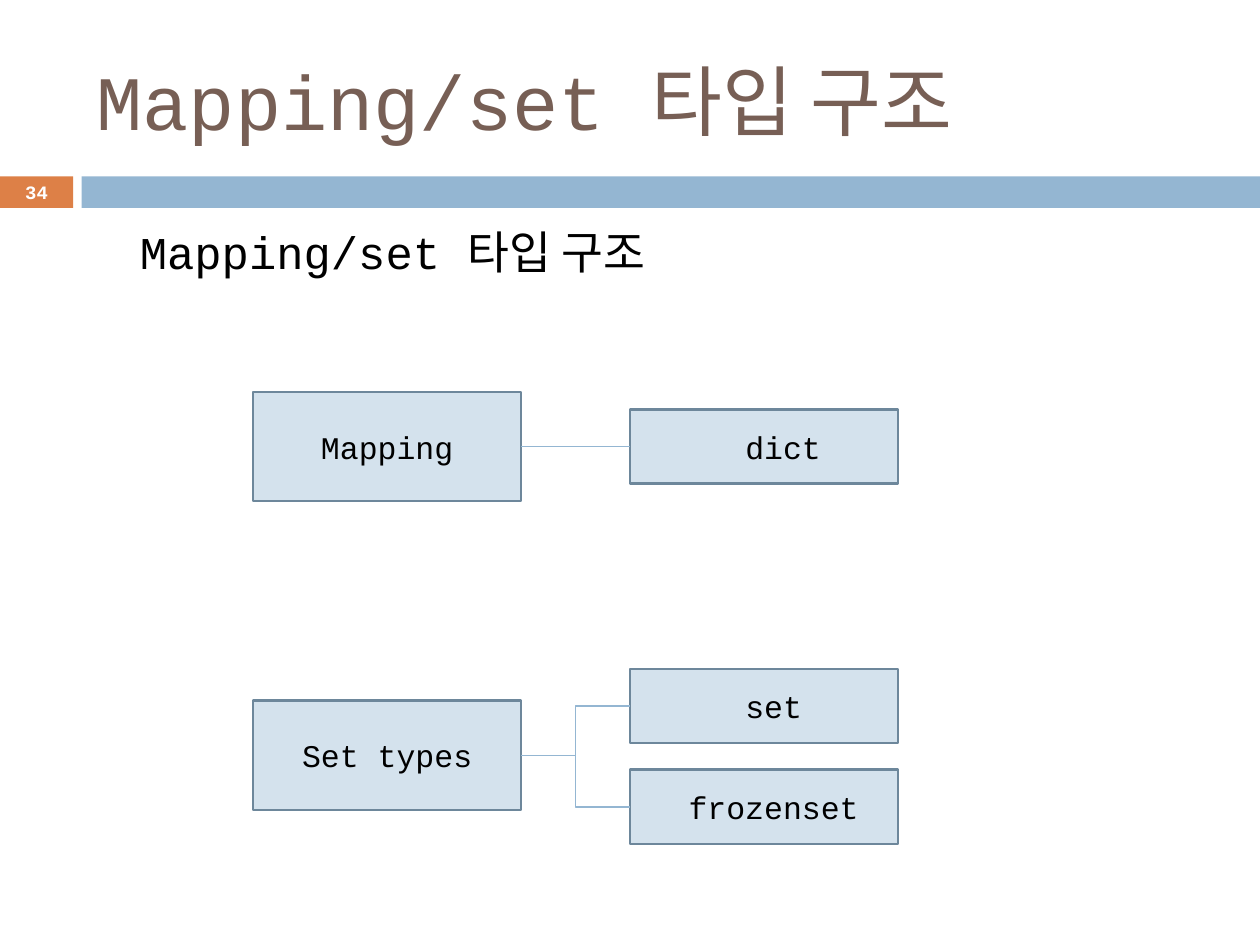
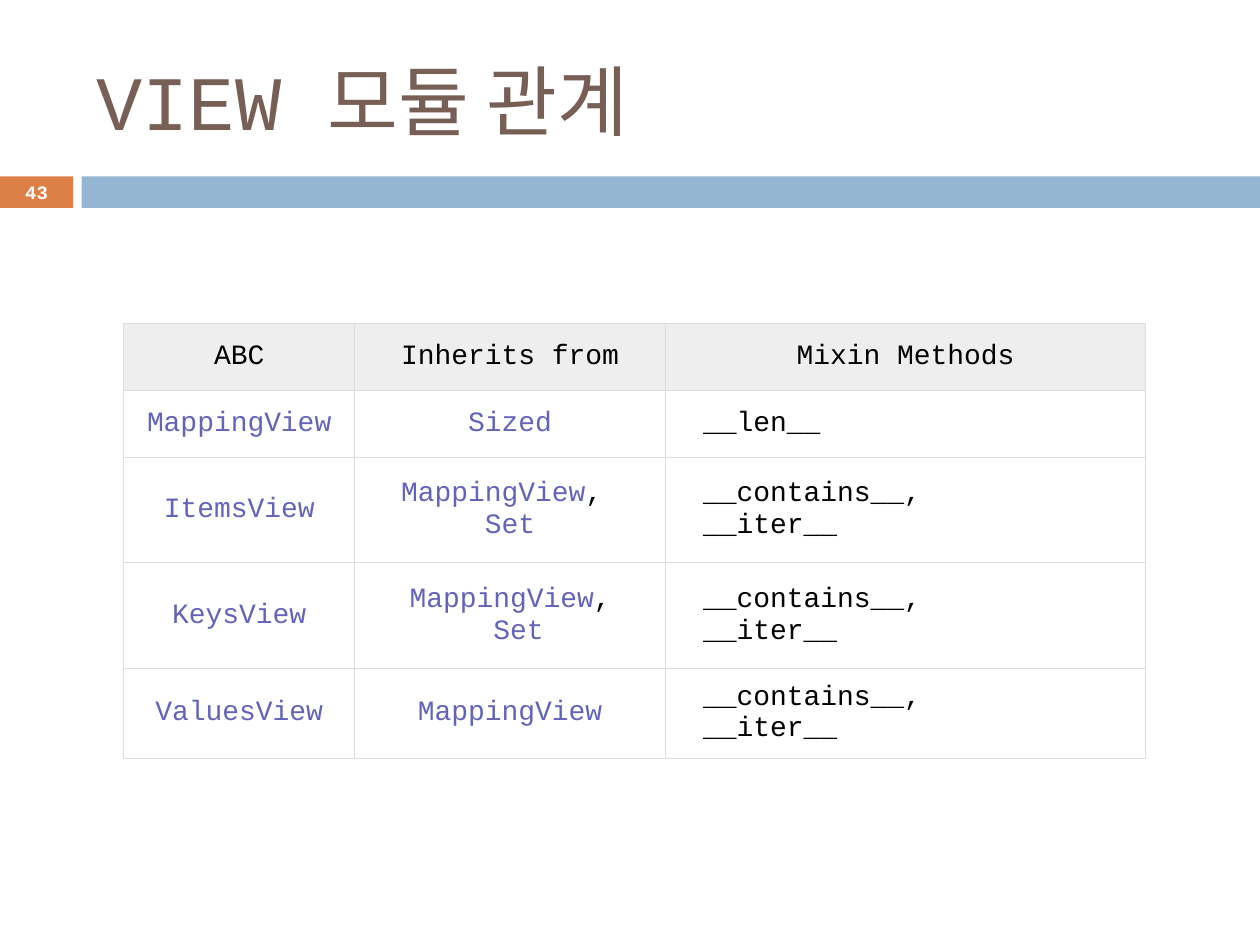
from dataclasses import dataclass

from lxml import etree
from pptx import Presentation
from pptx.dml.color import RGBColor
from pptx.enum.shapes import MSO_CONNECTOR, MSO_SHAPE
from pptx.enum.text import MSO_ANCHOR, MSO_AUTO_SIZE, PP_ALIGN
from pptx.oxml.ns import qn
from pptx.util import Pt

RECT = MSO_SHAPE.RECTANGLE
STRAIGHT, ELBOW = MSO_CONNECTOR.STRAIGHT, MSO_CONNECTOR.ELBOW
MIDDLE, TOP = MSO_ANCHOR.MIDDLE, MSO_ANCHOR.TOP
LEFT, CENTER = PP_ALIGN.LEFT, PP_ALIGN.CENTER
NO_FIT = MSO_AUTO_SIZE.NONE

# Shared look
FACE = "Courier New"
BLACK, WHITE = "000000", "FFFFFF"
BROWN, ORANGE, BLUE = "775F55", "DD8047", "94B6D2"
PALE, EDGE = "D4E2ED", "6D879B"
LINK, HEAD, GRID = "6363BB", "EEEEEE", "DDDDDD"

# Tree columns: x, width, height
ROOT_COL = (144.6, 153.2, 62.4)
LEAF_COL = (360, 153.2, 42.4)
LEFT_SITE, RIGHT_SITE = 1, 3
CHAR = 0.6  # advance of one letter, in ems


@dataclass
class Node:
    text: str
    mid: float
    pad: int = 0  # indent in letters


@dataclass
class Branch:
    root: Node
    leaves: list[Node]


TREE = [
    Branch(Node("Mapping", 255.2), [Node("dict", 255.2, 2)]),
    Branch(Node("Set types", 431.6),
           [Node("set", 403.5, 1), Node("frozenset", 461.1, 1)]),
]

# Table cells: a list of lines, each a list of (text, colour) runs
METHODS = [[("__contains__,", BLACK)], [("__iter__", BLACK)]]
COLS = [131.8, 177.8, 274.3]
ROWS = [38.2, 38.2, 60.5, 60.5, 51]
TITLES = ["ABC", "Inherits from", "Mixin Methods"]
VIEWS = [
    ("MappingView", [[("Sized", LINK)]], [[("__len__", BLACK)]]),
    ("ItemsView", [[("MappingView", LINK), (", ", BLACK)], [("Set", LINK)]], METHODS),
    ("KeysView", [[("MappingView", LINK), (",", BLACK)], [(" ", BLACK), ("Set", LINK)]],
     METHODS),
    ("ValuesView", [[("MappingView", LINK)]], METHODS),
]


def rgb(code: str) -> RGBColor:
    return RGBColor.from_string(code)


def style(para, size: float, color: str, align=LEFT, bold: bool = False) -> None:
    para.alignment = align
    font = para.font
    font.name, font.size, font.bold = FACE, Pt(size), bold
    font.color.rgb = rgb(color)


def place(shape, x: float, y: float, w: float, h: float) -> None:
    shape.left, shape.top, shape.width, shape.height = Pt(x), Pt(y), Pt(w), Pt(h)


def add_rect(slide, x: float, y: float, w: float, h: float, fill: str):
    rect = slide.shapes.add_shape(RECT, Pt(x), Pt(y), Pt(w), Pt(h))
    rect.shadow.inherit = False
    rect.fill.solid()
    rect.fill.fore_color.rgb = rgb(fill)
    rect.line.fill.background()
    return rect


def add_text(slide, text: str, x: float, y: float, w: float, h: float, anchor):
    frame = slide.shapes.add_textbox(Pt(x), Pt(y), Pt(w), Pt(h)).text_frame
    frame.word_wrap = True
    frame.vertical_anchor = anchor
    frame.text = text
    return frame


def add_page(deck, title: str, number: int):
    """Start a slide with its title, bands and number."""
    slide = deck.slides.add_slide(deck.slide_layouts[5])
    add_rect(slide, 0, 100.8, 41.8, 18, ORANGE)
    add_rect(slide, 46.6, 100.8, 673.4, 18, BLUE)
    head = slide.shapes.title
    place(head, 48, 18, 642, 78)
    frame = head.text_frame
    frame.text = title
    frame.auto_size = NO_FIT
    frame.vertical_anchor = MIDDLE
    style(frame.paragraphs[0], 44, BROWN)
    mark = add_text(slide, str(number), 0, 100.1, 41.8, 19.4, MIDDLE)
    style(mark.paragraphs[0], 10.8, WHITE, CENTER, True)
    return slide


def add_node(slide, node: Node, col: tuple[float, float, float]):
    x, wide, high = col
    box = add_rect(slide, x, node.mid - high / 2, wide, high, PALE)
    box.line.color.rgb = rgb(EDGE)
    box.line.width = Pt(1.5)
    frame = box.text_frame
    frame.text = node.text
    frame.vertical_anchor = MIDDLE
    frame.margin_left = Pt(7.2 + node.pad * 18 * CHAR)
    style(frame.paragraphs[0], 18, BLACK, CENTER)
    return box


def join(slide, root, leaf, kind) -> None:
    link = slide.shapes.add_connector(kind, 0, 0, 0, 0)
    link.begin_connect(root, RIGHT_SITE)
    link.end_connect(leaf, LEFT_SITE)
    link.line.color.rgb = rgb(BLUE)
    link.line.width = Pt(0.79)
    etree.SubElement(link._element.spPr, qn("a:effectLst"))


def add_grid(cell) -> None:
    props = cell._tc.get_or_add_tcPr()
    for spot, side in enumerate(("lnL", "lnR", "lnT", "lnB")):
        line = etree.Element(qn(f"a:{side}"), w=str(Pt(0.6)))
        fill = etree.SubElement(line, qn("a:solidFill"))
        etree.SubElement(fill, qn("a:srgbClr"), val=GRID)
        props.insert(spot, line)


def fill_cell(cell, lines: list, fill: str, align) -> None:
    cell.fill.solid()
    cell.fill.fore_color.rgb = rgb(fill)
    cell.vertical_anchor = MIDDLE
    cell.margin_left = Pt(2.2 + (2 * 16 * CHAR if align == LEFT else 0))
    cell.margin_right = Pt(2.2)
    cell.margin_top = cell.margin_bottom = Pt(0.7)
    frame = cell.text_frame
    for i, runs in enumerate(lines):
        para = frame.add_paragraph() if i else frame.paragraphs[0]
        style(para, 16, runs[0][1], align)
        for text, color in runs:
            run = para.add_run()
            run.text = text
            if color != runs[0][1]:
                run.font.color.rgb = rgb(color)
    add_grid(cell)


def draw_tree(deck) -> None:
    slide = add_page(deck, "Mapping/set 타입 구조", 34)
    body = add_text(slide, "Mapping/set 타입 구조", 36.7, 124.6, 648, 72, TOP)
    body.margin_left = Pt(43.2)
    para = body.paragraphs[0]
    style(para, 26, BLACK)
    para.space_before = Pt(5.5)
    for branch in TREE:
        root = add_node(slide, branch.root, ROOT_COL)
        for node in branch.leaves:
            leaf = add_node(slide, node, LEAF_COL)
            join(slide, root, leaf, STRAIGHT if node.mid == branch.root.mid else ELBOW)


def draw_views(deck) -> None:
    slide = add_page(deck, "VIEW 모듈 관계", 43)
    table = slide.shapes.add_table(len(ROWS), len(COLS), Pt(70.8), Pt(184.8),
                                   Pt(sum(COLS)), Pt(sum(ROWS))).table
    table.first_row = table.horz_banding = False
    for col, wide in zip(table.columns, COLS):
        col.width = Pt(wide)
    for row, high in zip(table.rows, ROWS):
        row.height = Pt(high)
    for c, text in enumerate(TITLES):
        fill_cell(table.cell(0, c), [[(text, BLACK)]], HEAD, CENTER)
    for r, (name, bases, mixins) in enumerate(VIEWS, 1):
        fill_cell(table.cell(r, 0), [[(name, LINK)]], WHITE, CENTER)
        fill_cell(table.cell(r, 1), bases, WHITE, CENTER)
        fill_cell(table.cell(r, 2), mixins, WHITE, LEFT)


def main() -> None:
    deck = Presentation()
    deck.slide_width, deck.slide_height = Pt(720), Pt(540)
    draw_tree(deck)
    draw_views(deck)
    deck.save("out.pptx")


if __name__ == "__main__":
    main()
